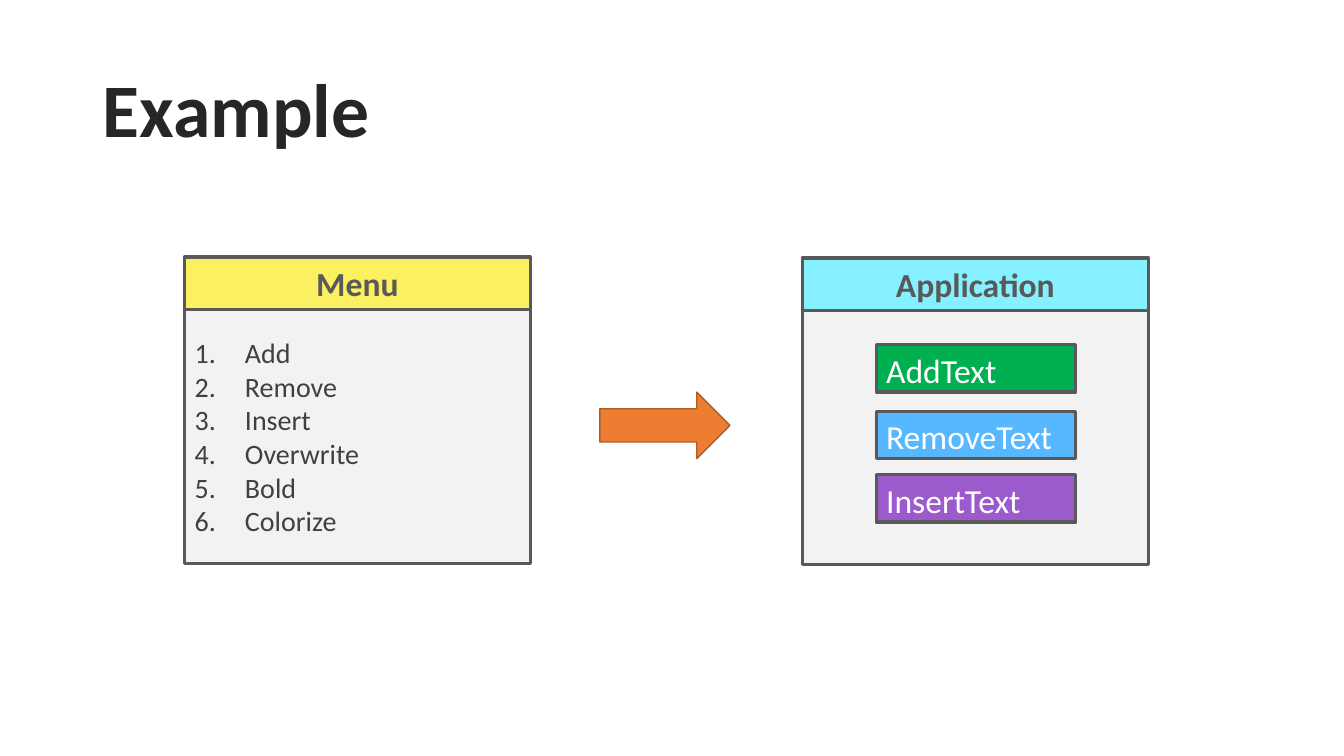
from pptx import Presentation
from pptx.dml.color import RGBColor
from pptx.enum.shapes import MSO_SHAPE
from pptx.enum.text import MSO_ANCHOR, MSO_AUTO_SIZE, PP_ALIGN
from pptx.oxml.xmlchemy import OxmlElement
from pptx.util import Inches, Pt

RECT, ARROW = MSO_SHAPE.RECTANGLE, MSO_SHAPE.RIGHT_ARROW
TOP, MIDDLE = MSO_ANCHOR.TOP, MSO_ANCHOR.MIDDLE
LEFT, CENTER = PP_ALIGN.LEFT, PP_ALIGN.CENTER
FIXED = MSO_AUTO_SIZE.NONE

INK = RGBColor(0x26, 0x26, 0x26)
DARK = RGBColor(0x40, 0x40, 0x40)
GREY = RGBColor(0x59, 0x59, 0x59)
PALE = RGBColor(0xF2, 0xF2, 0xF2)
WHITE = RGBColor(0xFF, 0xFF, 0xFF)
YELLOW = RGBColor(0xFB, 0xF0, 0x5F)
CYAN = RGBColor(0x85, 0xF0, 0xFF)
GREEN = RGBColor(0x00, 0xB0, 0x50)
BLUE = RGBColor(0x57, 0xB7, 0xFF)
PURPLE = RGBColor(0x9C, 0x5B, 0xCD)
ORANGE = RGBColor(0xED, 0x7D, 0x31)
RUST = RGBColor(0xAF, 0x5C, 0x24)

WIDE, HEAD, BODY = 3.43, 0.52, 2.52

deck = Presentation()
deck.slide_width, deck.slide_height = Inches(13.33), Inches(7.5)
slide = deck.slides.add_slide(deck.slide_layouts[1])
shapes = slide.shapes


def write(para, text, size, color, bold=False, align=LEFT):
    para.alignment = align
    run = para.add_run()
    run.text = text
    look = {"name": "Calibri", "size": Pt(size), "bold": bold}
    for key, value in look.items():
        setattr(run.font, key, value)
    run.font.color.rgb = color


def draw(kind, box, fill, line=GREY, weight=2.25):
    shape = shapes.add_shape(kind, *map(Inches, box))
    shape.shadow.inherit = False
    shape.fill.solid()
    shape.fill.fore_color.rgb = fill
    shape.line.color.rgb = line
    shape.line.width = Pt(weight)
    return shape


# Title
title = shapes.title
title.left, title.top, title.width, title.height = map(Inches, (0.92, 0.4, 11.5, 1.45))
title.text_frame.vertical_anchor = MIDDLE
para = title.text_frame.paragraphs[0]
para.line_spacing = 0.9
write(para, "Example", 54, INK, True)

# Panels
for name, left, top, color in (("Menu", 1.83, 2.55, YELLOW),
                               ("Application", 7.96, 2.56, CYAN)):
    head = draw(RECT, (left, top, WIDE, HEAD), color)
    head.text_frame.vertical_anchor = MIDDLE
    write(head.text_frame.paragraphs[0], name, 24, GREY, True, CENTER)
draw(RECT, (7.96, 3.08, WIDE, BODY), PALE)

# Menu list
menu = slide.placeholders[1]
menu.left, menu.top, menu.width, menu.height = map(Inches, (1.83, 3.07, WIDE, BODY))
menu.fill.solid()
menu.fill.fore_color.rgb = PALE
menu.line.color.rgb = GREY
menu.line.width = Pt(2.25)
frame = menu.text_frame
frame.auto_size = FIXED
frame.vertical_anchor = MIDDLE
for i, item in enumerate(("Add", "Remove", "Insert", "Overwrite", "Bold", "Colorize")):
    para = frame.add_paragraph() if i else frame.paragraphs[0]
    para.space_before = Pt(0)
    write(para, item, 20, DARK)
    props = para._p.get_or_add_pPr()
    props.set("marL", str(Inches(0.5)))
    props.set("indent", str(-Inches(0.5)))
    font = OxmlElement("a:buFont")
    font.set("typeface", "+mj-lt")
    number = OxmlElement("a:buAutoNum")
    number.set("type", "arabicPeriod")
    props.extend((font, number))

# Application commands
for name, top, color in (("AddText", 3.42, GREEN), ("RemoveText", 4.08, BLUE),
                         ("InsertText", 4.71, PURPLE)):
    button = draw(RECT, (8.69, top, 1.98, 0.47), color)
    button.text_frame.vertical_anchor = TOP
    write(button.text_frame.paragraphs[0], name, 24, WHITE)

draw(ARROW, (5.95, 3.89, 1.29, 0.66), ORANGE, RUST, 1)

deck.save("out.pptx")
